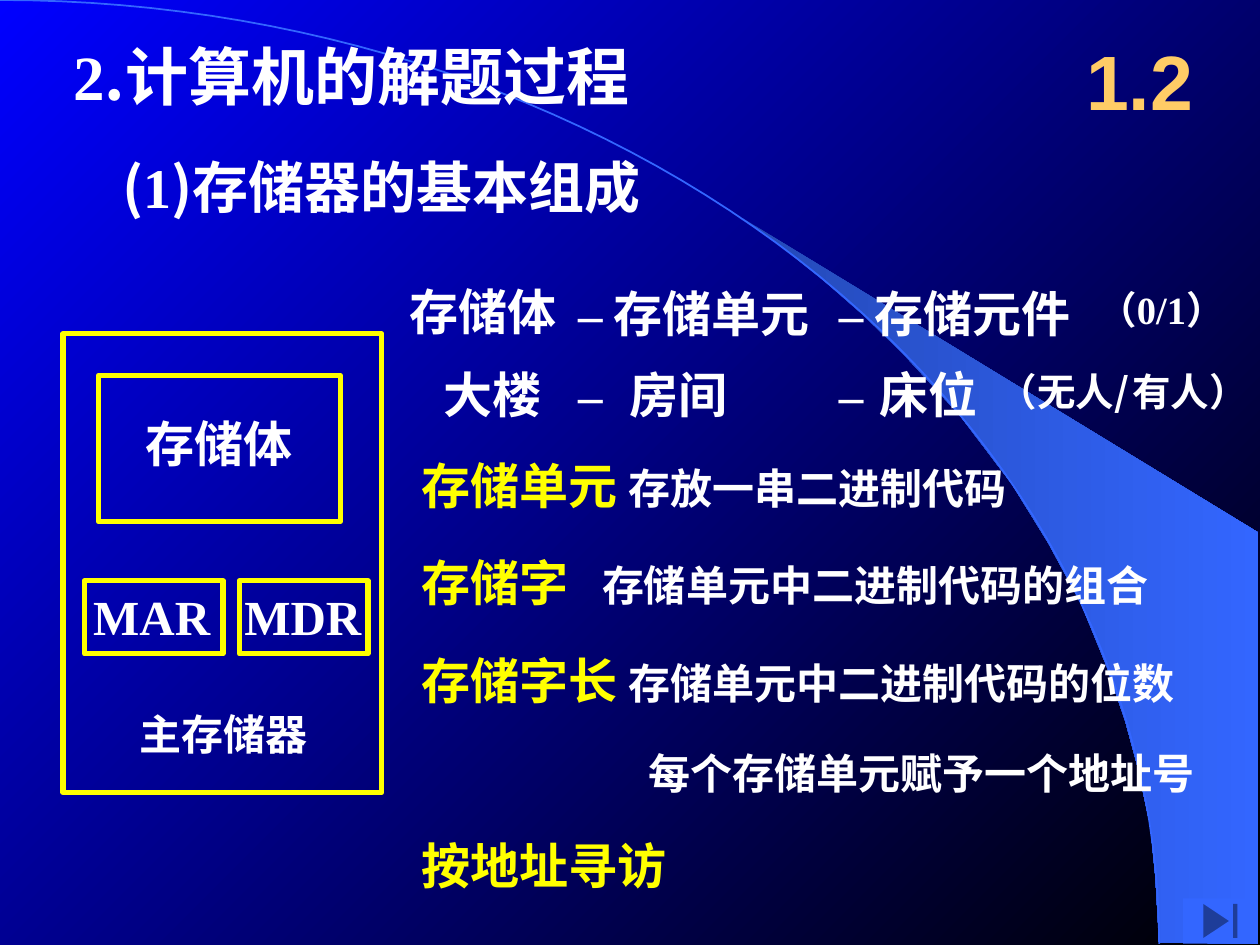
from dataclasses import dataclass
from math import cos, pi, sin
from typing import Optional

from lxml.etree import SubElement
from pptx import Presentation
from pptx.dml.color import RGBColor
from pptx.enum.shapes import MSO_SHAPE as Shape
from pptx.enum.text import MSO_ANCHOR as Anchor, MSO_AUTO_SIZE as AutoSize, PP_ALIGN as Align
from pptx.oxml.ns import qn
from pptx.util import Inches, Pt

WHITE = RGBColor(0xFF, 0xFF, 0xFF)
YELLOW = RGBColor(0xFF, 0xFF, 0x00)
ORANGE = RGBColor(0xFF, 0xCC, 0x66)
BLUE = RGBColor(0x00, 0x00, 0xFF)
BLACK = RGBColor(0x00, 0x00, 0x00)
SKY = RGBColor(0x33, 0x66, 0xFF)
DEEP_SKY = RGBColor(0x24, 0x49, 0xB6)
CHINESE, LATIN, SANS = "Noto Sans CJK SC", "Times New Roman", "Arial"


@dataclass(frozen=True)
class Span:
    text: str
    size: float = 28
    font: str = CHINESE
    color: RGBColor = WHITE


@dataclass(frozen=True)
class Label:
    left: float
    top: float
    width: float
    height: float
    spans: tuple[Span, ...]
    inset_left: float = 0.1
    inset_right: float = 0.1
    wrap: bool = True
    align: Align = Align.LEFT
    tab: Optional[float] = None


@dataclass(frozen=True)
class Frame:
    left: float
    top: float
    width: float
    height: float


def place(shape, box) -> None:
    shape.left, shape.top = Inches(box.left), Inches(box.top)
    shape.width, shape.height = Inches(box.width), Inches(box.height)


def write_label(shape, label: Label) -> None:
    place(shape, label)
    text_frame = shape.text_frame
    text_frame.word_wrap = label.wrap
    text_frame.auto_size = AutoSize.NONE
    text_frame.vertical_anchor = Anchor.MIDDLE
    text_frame.margin_left = Inches(label.inset_left)
    text_frame.margin_right = Inches(label.inset_right)
    text_frame.margin_top = text_frame.margin_bottom = Inches(0.05)
    paragraph = text_frame.paragraphs[0]
    paragraph.alignment = label.align
    if label.tab is not None:
        tab_list = SubElement(paragraph._p.get_or_add_pPr(), qn("a:tabLst"))
        SubElement(tab_list, qn("a:tab"), pos=str(Inches(label.tab)), algn="l")
    for span in label.spans:
        run = paragraph.add_run()
        run.text = span.text
        run.font.size, run.font.bold = Pt(span.size), True
        run.font.name = span.font
        run.font.color.rgb = span.color
        SubElement(run.font._element, qn("a:ea"), typeface=span.font)


def set_gradient(fill, first: RGBColor, last: RGBColor, angle: float) -> None:
    fill.gradient()
    fill.gradient_angle = angle
    for stop, color in zip(fill.gradient_stops, (first, last)):
        stop.color.rgb = color


def draw_outline(slide, points: list[tuple[float, float]], close: bool):
    corners = [(Inches(x), Inches(y)) for x, y in points]
    builder = slide.shapes.build_freeform(*corners[0])
    builder.add_line_segments(corners[1:], close=close)
    shape = builder.convert_to_shape()
    shape.shadow.inherit = False
    return shape


def draw_frame(slide, frame: Frame) -> None:
    shape = slide.shapes.add_shape(Shape.RECTANGLE, 0, 0, 0, 0)
    place(shape, frame)
    shape.shadow.inherit = False
    shape.fill.background()
    shape.line.color.rgb = YELLOW
    shape.line.width = Pt(3)


presentation = Presentation()
presentation.slide_width, presentation.slide_height = Inches(10), Inches(7.5)
slide = presentation.slides.add_slide(presentation.slide_layouts[5])

# Background with the swoosh and its arc
set_gradient(slide.background.fill, BLUE, BLACK, 315)
SWOOSH = [(9.2, 7.48), (9.99, 7.49), (9.99, 4.23), (5.89, 1.73), (6.24, 1.99),
          (6.53, 2.22), (6.85, 2.5), (7.16, 2.8), (7.62, 3.3), (8.03, 3.84),
          (8.32, 4.31), (8.58, 4.79), (8.78, 5.28), (8.93, 5.72), (9.03, 6.09),
          (9.13, 6.56), (9.17, 6.96)]
swoosh = draw_outline(slide, SWOOSH, close=True)
set_gradient(swoosh.fill, DEEP_SKY, SKY, 0)
swoosh.line.fill.background()

STEPS = 60
angles = [step * pi / 2 / STEPS for step in range(STEPS + 1)]
arc = draw_outline(slide, [(9.2 * sin(a), 7.49 * (1 - cos(a))) for a in angles], close=False)
arc.fill.background()
arc.line.color.rgb = SKY
arc.line.width = Pt(1)

# Section number
write_label(slide.shapes.title, Label(8.42, 0.17, 1.25, 0.92, (Span("1.2", 44, SANS, ORANGE),),
                                      align=Align.CENTER))

# Memory diagram
for frame in (Frame(0.5, 2.65, 2.53, 3.64), Frame(0.78, 2.98, 1.92, 1.16),
              Frame(0.67, 4.61, 1.1, 0.58), Frame(1.9, 4.61, 1.02, 0.58)):
    draw_frame(slide, frame)

DASH = Span("–", font=LATIN)
DASH_TAB = Span("–\t", font=LATIN)
labels = [
    # Headings
    Label(0.04, 0.25, 5.59, 0.7, (Span("2", 36, LATIN), Span(".计算机的解题过程", 36)),
          inset_left=0, align=Align.CENTER),
    Label(0.87, 1.16, 6.81, 0.63,
          (Span("(", 32), Span("1", 32, LATIN), Span(")存储器的基本组成", 32))),
    # Diagram captions
    Label(1.06, 3.23, 1.37, 0.57, (Span("存储体"),), wrap=False),
    Label(0.74, 4.6, 1.03, 0.57, (Span("MAR", font=LATIN),), inset_left=0, wrap=False),
    Label(1.94, 4.6, 1.14, 0.57, (Span("MDR", font=LATIN),), inset_left=0, inset_right=0),
    Label(1.11, 5.62, 1.34, 0.4, (Span("主存储器", 24),),
          inset_left=0, inset_right=0, wrap=False),
    # Memory terms
    Label(3.15, 2.18, 1.54, 0.57, (Span("存储体"),)),
    Label(4.49, 2.2, 2.48, 0.57, (DASH, Span(" 存储单元"))),
    Label(6.56, 2.2, 2.46, 0.57, (DASH, Span(" 存储元件"))),
    Label(8.62, 2.22, 1.38, 0.47, (Span("（", 22), Span("0/1", 22, LATIN), Span("）", 22))),
    # Building analogy
    Label(3.42, 2.84, 1.27, 0.57, (Span("大楼"),)),
    Label(4.49, 2.84, 1.85, 0.57, (DASH_TAB, Span("房间")), tab=0.41),
    Label(6.56, 2.84, 1.86, 0.57, (DASH_TAB, Span("床位")), tab=0.32),
    Label(7.83, 2.87, 2.76, 0.47, (Span("（无人/", 22), Span(" ", 8), Span("有人）", 22))),
    # Addressing
    Label(5.05, 5.88, 5.29, 0.5, (Span("每个存储单元赋予一个地址号", 24),)),
    Label(3.25, 6.58, 2.93, 0.57, (Span("按地址寻访", color=YELLOW),)),
]

# Definitions, one row each
DEFINITIONS = (("存储单元 ", "存放一串二进制代码"),
               ("存储字\t", "存储单元中二进制代码的组合"),
               ("存储字长 ", "存储单元中二进制代码的位数"))
for row, (term, meaning) in enumerate(DEFINITIONS):
    labels.append(Label(3.25, 3.56 + 0.775 * row, 6.7, 0.57,
                        (Span(term, color=YELLOW), Span(meaning, 24)), tab=1.43))

for label in labels:
    write_label(slide.shapes.add_textbox(0, 0, 0, 0), label)

# Button to the last slide
button = slide.shapes.add_shape(Shape.ACTION_BUTTON_END, 0, 0, 0, 0)
place(button, Frame(9.39, 7.13, 0.59, 0.36))
button.shadow.inherit = False
button.fill.solid()
button.fill.fore_color.rgb = SKY
button.line.fill.background()

presentation.save("out.pptx")
